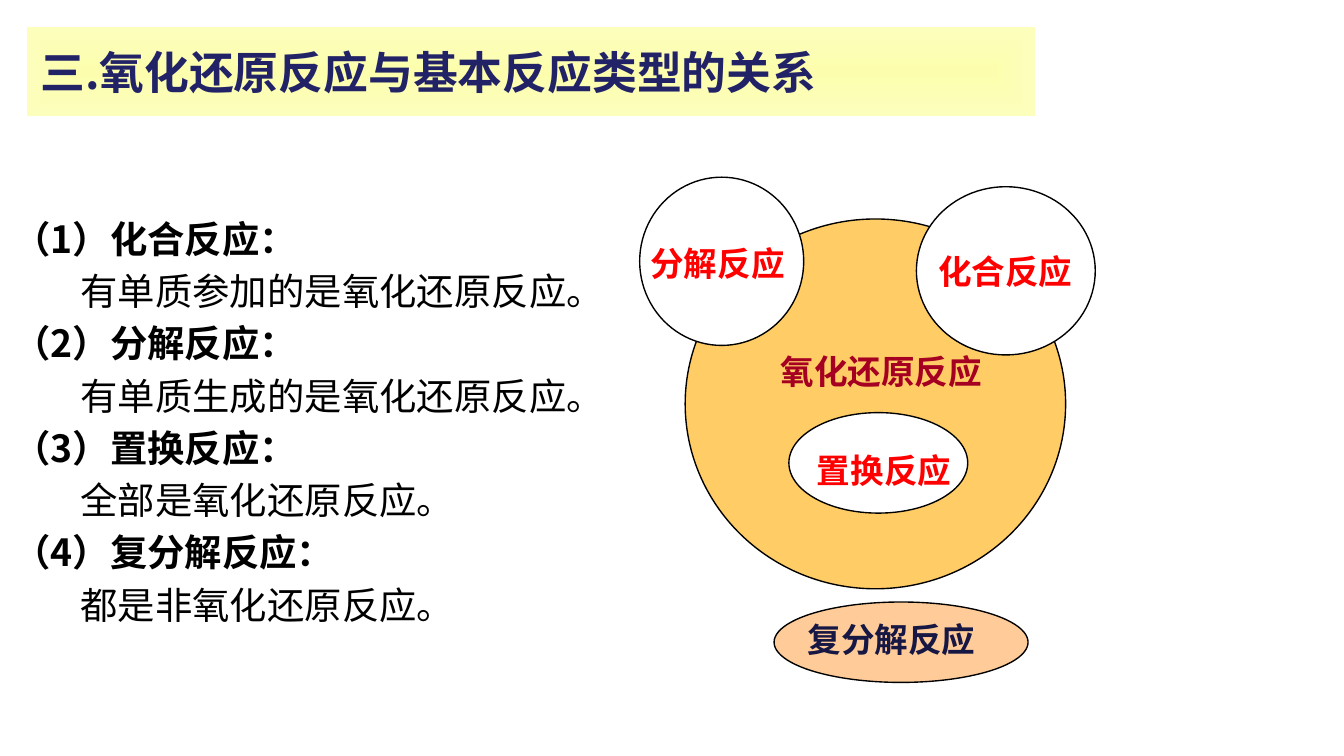
from dataclasses import dataclass

from lxml.etree import SubElement
from pptx import Presentation
from pptx.dml.color import RGBColor as RGB
from pptx.enum.shapes import MSO_SHAPE as Preset
from pptx.enum.text import MSO_ANCHOR as Anchor, MSO_AUTO_SIZE as AutoSize, PP_ALIGN as Align
from pptx.oxml.ns import qn
from pptx.util import Cm, Pt


@dataclass(frozen=True)
class Theme:
    font: str = "Noto Sans CJK SC"
    title_size: int = 24
    body_size: int = 20
    label_size: int = 18
    line_pitch: int = 28
    outline: float = 0.75
    black: str = "000000"
    white: str = "FFFFFF"
    title: str = "222267"
    band_center: str = "FCFEAE"
    band_edge: str = "FCFEBC"
    redox: str = "FFCC66"
    outside: str = "FFCC99"
    red: str = "FF0000"
    crimson: str = "A50021"
    navy: str = "171744"


theme = Theme()


def write(paragraph, text, size, color, bold=True):
    """Add a left-aligned run with the same font for Latin and Chinese."""
    paragraph.alignment = Align.LEFT
    run = paragraph.add_run()
    run.text = text
    font = run.font
    font.name, font.size, font.bold = theme.font, Pt(size), bold
    font.color.rgb = RGB.from_string(color)
    SubElement(font._element, qn("a:ea"), typeface=theme.font)


def prepare(frame, anchor, top_margin=0):
    """Fix the frame's size, wrapping and vertical margins."""
    frame.word_wrap = True
    frame.auto_size = AutoSize.NONE
    frame.vertical_anchor = anchor
    frame.margin_left = frame.margin_right = Cm(0.25)
    frame.margin_top, frame.margin_bottom = Cm(top_margin), 0


presentation = Presentation()
presentation.slide_width, presentation.slide_height = Cm(25.4), Cm(14.29)
slide = presentation.slides.add_slide(presentation.slide_layouts[5])

# Title on a pale yellow band
title = slide.shapes.title
title.left, title.top, title.width, title.height = Cm(0.51), Cm(0.51), Cm(19.05), Cm(1.68)
title.fill.gradient()
for stop, color in zip(title.fill.gradient_stops, (theme.band_center, theme.band_edge)):
    stop.color.rgb = RGB.from_string(color)
gradient = title._element.spPr.find(qn("a:gradFill"))
gradient.remove(gradient.find(qn("a:lin")))
shade = SubElement(gradient, qn("a:path"), {"path": "shape"})
SubElement(shade, qn("a:fillToRect"), dict.fromkeys("ltrb", "50000"))
prepare(title.text_frame, Anchor.MIDDLE)
write(title.text_frame.paragraphs[0], "三.氧化还原反应与基本反应类型的关系",
      theme.title_size, theme.title)

# Rules: a bold heading and an indented statement for each reaction type
rules = [
    ("化合反应", "有单质参加的是氧化还原反应。"),
    ("分解反应", "有单质生成的是氧化还原反应。"),
    ("置换反应", "全部是氧化还原反应。"),
    ("复分解反应", "都是非氧化还原反应。"),
]
body = slide.shapes.add_textbox(0, Cm(2.92), Cm(24), Cm(6.43)).text_frame
prepare(body, Anchor.TOP, top_margin=1.02)
for number, (reaction, statement) in enumerate(rules, 1):
    heading = body.paragraphs[0] if number == 1 else body.add_paragraph()
    detail = body.add_paragraph()
    for paragraph in (heading, detail):
        paragraph.line_spacing = Pt(theme.line_pitch)
    write(heading, f"（{number}）{reaction}：", theme.body_size, theme.black)
    write(detail, statement, theme.body_size, theme.black, bold=False)
    detail._p.get_or_add_pPr().set("marL", str(Cm(1.27)))

# Set diagram: left, top, width, height in cm
diagram = slide.shapes.add_group_shape().shapes
ellipses = [
    (12.95, 4.14, 7.19, 6.99, theme.redox),
    (14.91, 7.8, 3.38, 1.9, theme.white),
    (12.09, 3.35, 3.1, 3.18, theme.white),
    (17.32, 3.53, 3.38, 3.18, theme.white),
    (14.63, 11.38, 4.8, 1.52, theme.outside),
]
for *box, color in ellipses:
    ellipse = diagram.add_shape(Preset.OVAL, *map(Cm, box))
    ellipse.shadow.inherit = False
    ellipse.fill.solid()
    ellipse.fill.fore_color.rgb = RGB.from_string(color)
    ellipse.line.color.rgb = RGB.from_string(theme.black)
    ellipse.line.width = Pt(theme.outline)

# Diagram labels: left, top, width in cm
labels = [
    (12.04, 4.47, 3.53, "分解反应", theme.red),
    (17.48, 4.62, 3.25, "化合反应", theme.red),
    (14.5, 6.5, 4.65, "氧化还原反应", theme.crimson),
    (15.19, 8.38, 3.25, "置换反应", theme.red),
    (15.01, 11.58, 4.09, "复分解反应", theme.navy),
]
for left, top, width, text, color in labels:
    label = diagram.add_textbox(Cm(left), Cm(top), Cm(width), Cm(1.02)).text_frame
    prepare(label, Anchor.MIDDLE)
    write(label.paragraphs[0], text, theme.label_size, color)

presentation.save("out.pptx")
